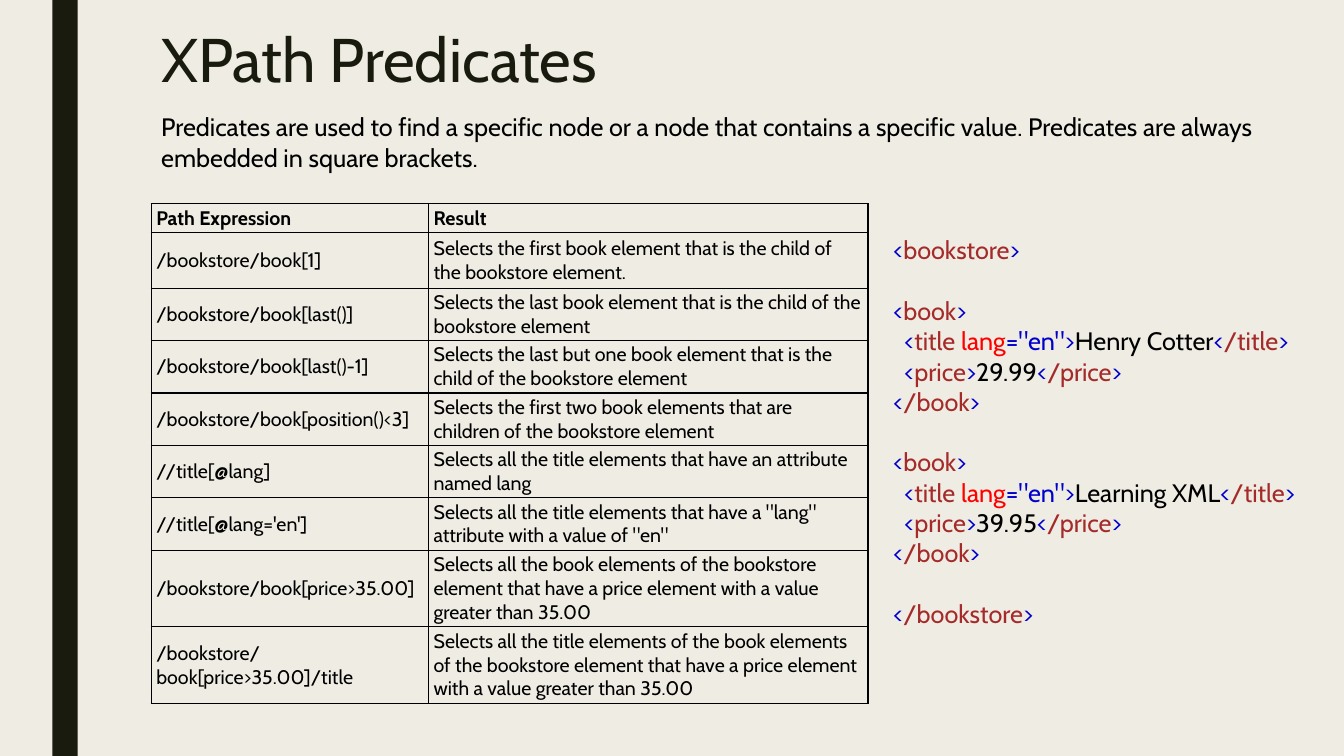
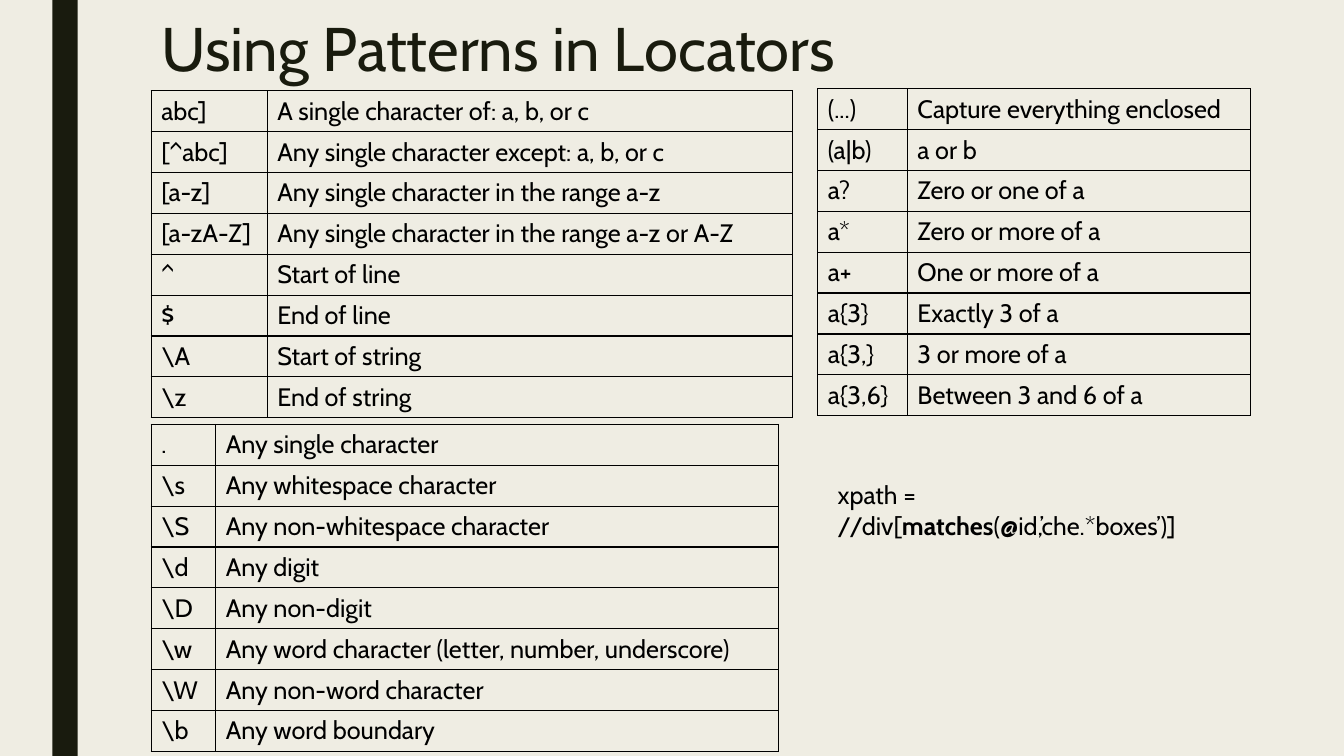
from dataclasses import dataclass
from lxml.etree import SubElement
from pptx import Presentation
from pptx.dml.color import RGBColor
from pptx.enum.shapes import MSO_SHAPE
from pptx.enum.text import MSO_ANCHOR, MSO_AUTO_SIZE, PP_ALIGN
from pptx.oxml import parse_xml
from pptx.oxml.ns import nsdecls, qn
from pptx.util import Inches, Pt


@dataclass(frozen=True)
class Theme:
    font: str = "Cabin"
    paper: RGBColor = RGBColor.from_string("EFEDE3")
    dark: RGBColor = RGBColor.from_string("191B0E")
    ink: RGBColor = RGBColor.from_string("000000")
    mark: RGBColor = RGBColor.from_string("0000CD")
    tag: RGBColor = RGBColor.from_string("A52A2A")
    key: RGBColor = RGBColor.from_string("FF0000")
    head: float = 44
    text: float = 18
    small: float = 14
    line: float = 1
    left: float = 1.5


THEME = Theme()

PATHS = [
    ("Path Expression", "Result"),
    ("/bookstore/book[1]",
     "Selects the first book element that is the child of the bookstore element."),
    ("/bookstore/book[last()]",
     "Selects the last book element that is the child of the bookstore element"),
    ("/bookstore/book[last()-1]",
     "Selects the last but one book element that is the child of the bookstore element"),
    ("/bookstore/book[position()<3]",
     "Selects the first two book elements that are children of the bookstore element"),
    ("//title[@lang]",
     "Selects all the title elements that have an attribute named lang"),
    ("//title[@lang='en']",
     'Selects all the title elements that have a "lang" attribute with a value of "en"'),
    ("/bookstore/book[price>35.00]",
     "Selects all the book elements of the bookstore element that have a price element "
     "with a value greater than 35.00"),
    ("/bookstore/book[price>35.00]/title",
     "Selects all the title elements of the book elements of the bookstore element "
     "that have a price element with a value greater than 35.00"),
]
RANGES = [
    ("abc]", "A single character of: a, b, or c"),
    ("[^abc]", "Any single character except: a, b, or c"),
    ("[a-z]", "Any single character in the range a-z"),
    ("[a-zA-Z]", "Any single character in the range a-z or A-Z"),
    ("^", "Start of line"),
    ("$", "End of line"),
    (r"\A", "Start of string"),
    (r"\z", "End of string"),
]
COUNTS = [
    ("(...)", "Capture everything enclosed"),
    ("(a|b)", "a or b"),
    ("a?", "Zero or one of a"),
    ("a*", "Zero or more of a"),
    ("a+", "One or more of a"),
    ("a{3}", "Exactly 3 of a"),
    ("a{3,}", "3 or more of a"),
    ("a{3,6}", "Between 3 and 6 of a"),
]
KINDS = [
    (".", "Any single character"),
    (r"\s", "Any whitespace character"),
    (r"\S", "Any non-whitespace character"),
    (r"\d", "Any digit"),
    (r"\D", "Any non-digit"),
    (r"\w", "Any word character (letter, number, underscore)"),
    (r"\W", "Any non-word character"),
    (r"\b", "Any word boundary"),
]


def style(run, size=THEME.text, color=THEME.ink, bold=False):
    font = run.font
    font.name, font.size, font.bold = THEME.font, Pt(size), bold
    font.color.rgb = color


def place(shape, left, top, width, height):
    shape.left, shape.top = Inches(left), Inches(top)
    shape.width, shape.height = Inches(width), Inches(height)


def set_base(deck, slide):
    master = deck.slide_master
    fill = master.background.fill
    fill.solid()
    fill.fore_color.rgb = THEME.paper
    band = slide.shapes.add_shape(
        MSO_SHAPE.RECTANGLE, Inches(0.52), 0, Inches(0.25), deck.slide_height)
    band.shadow.inherit = False
    band.fill.solid()
    band.fill.fore_color.rgb = THEME.dark
    band.line.fill.background()
    master.element.cSld.spTree.insert(2, band.element)


def add_slide(deck, text, top):
    slide = deck.slides.add_slide(deck.slide_layouts.get_by_name("Title Only"))
    title = slide.shapes.title
    place(title, THEME.left, top, 10.5, 1.62)
    frame = title.text_frame
    frame.text = text
    frame.auto_size = MSO_AUTO_SIZE.NONE
    frame.vertical_anchor = MSO_ANCHOR.TOP
    line = frame.paragraphs[0]
    line.alignment, line.line_spacing = PP_ALIGN.LEFT, 0.89
    style(line.runs[0], THEME.head, THEME.dark)
    return slide


def add_box(slide, left, top, width, height):
    frame = slide.shapes.add_textbox(
        Inches(left), Inches(top), Inches(width), Inches(height)).text_frame
    frame.word_wrap = True
    return frame


def add_run(line, text, **look):
    run = line.add_run()
    run.text = text
    style(run, **look)


def add_edges(cell):
    props = cell._tc.get_or_add_tcPr()
    for spot, side in enumerate(("lnL", "lnR", "lnT", "lnB")):
        edge = parse_xml(f'<a:{side} {nsdecls("a")} w="{Pt(THEME.line)}"/>')
        fill = SubElement(edge, qn("a:solidFill"))
        SubElement(fill, qn("a:srgbClr"), val=str(THEME.ink))
        props.insert(spot, edge)


def add_grid(slide, left, top, cols, rows, tall=None, size=THEME.text,
             head=False, pad=None):
    tall = tall or [0.4] * len(rows)
    table = slide.shapes.add_table(
        len(rows), len(cols), Inches(left), Inches(top),
        Inches(sum(cols)), Inches(sum(tall))).table
    table.first_row = table.horz_banding = False
    for col, width in zip(table.columns, cols):
        col.width = Inches(width)
    for place_y, (row, high) in enumerate(zip(rows, tall)):
        table.rows[place_y].height = Inches(high)
        for place_x, text in enumerate(row):
            cell = table.cell(place_y, place_x)
            cell.text_frame.text = text
            cell.vertical_anchor = MSO_ANCHOR.MIDDLE
            if pad:
                cell.margin_left = cell.margin_right = Inches(pad[0])
                cell.margin_top = cell.margin_bottom = Inches(pad[1])
            cell.fill.background()
            add_edges(cell)
            style(cell.text_frame.paragraphs[0].runs[0], size,
                  bold=head and place_y == 0)


def tag(name, lang=None):
    parts = [("<", THEME.mark), (name, THEME.tag)]
    if lang:
        parts += [(" ", THEME.tag), ("lang", THEME.key), (f'="{lang}"', THEME.mark)]
    return parts + [(">", THEME.mark)]


def leaf(name, text, lang=None):
    return tag(name, lang) + [(text, THEME.ink)] + tag("/" + name)


def book(title, price):
    return [
        (tag("book"), True, False),
        (leaf("title", title, "en"), False, True),
        (leaf("price", price), False, True),
        (tag("/book"), False, False),
    ]


def add_code(slide, lines):
    frame = add_box(slide, 8.76, 2.28, 4.36, 4.04)
    for spot, (parts, gap, inset) in enumerate(lines):
        line = frame.add_paragraph() if spot else frame.paragraphs[0]
        if gap:
            line.space_before = Pt(21.7)
        if inset:
            line._p.get_or_add_pPr().set("marL", str(Inches(0.11)))
        for text, color in parts:
            add_run(line, text, color=color)


def main():
    deck = Presentation()
    deck.slide_width, deck.slide_height = Inches(13.33), Inches(7.5)

    slide = add_slide(deck, "XPath Predicates", 0.25)
    set_base(deck, slide)
    add_grid(slide, THEME.left, 2.02, [2.75, 4.36], PATHS,
             [0.29, 0.55] + [0.52] * 5 + [0.76] * 2,
             THEME.small, True, (0.05, 0.02))
    intro = add_box(slide, THEME.left, 1.06, 11.5, 0.71)
    add_run(intro.paragraphs[0],
            "Predicates are used to find a specific node or a node that contains a "
            "specific value. Predicates are always embedded in square brackets.")
    add_code(slide, [
        (tag("bookstore"), False, False),
        *book("Henry Cotter", "29.99"),
        *book("Learning XML", "39.95"),
        (tag("/bookstore"), True, False),
    ])

    slide = add_slide(deck, "Using Patterns in Locators", 0.14)
    add_grid(slide, THEME.left, 0.9, [1.15, 5.21], RANGES)
    add_grid(slide, 8.11, 0.88, [0.89, 3.4], COUNTS)
    add_grid(slide, THEME.left, 4.21, [0.64, 5.58], KINDS)
    line = add_box(slide, 8.21, 4.71, 4.19, 0.71).paragraphs[0]
    add_run(line, "xpath = //div[")
    add_run(line, "matches", bold=True)
    add_run(line, "(@id,’che.*boxes’)]")

    deck.save("out.pptx")


if __name__ == "__main__":
    main()
